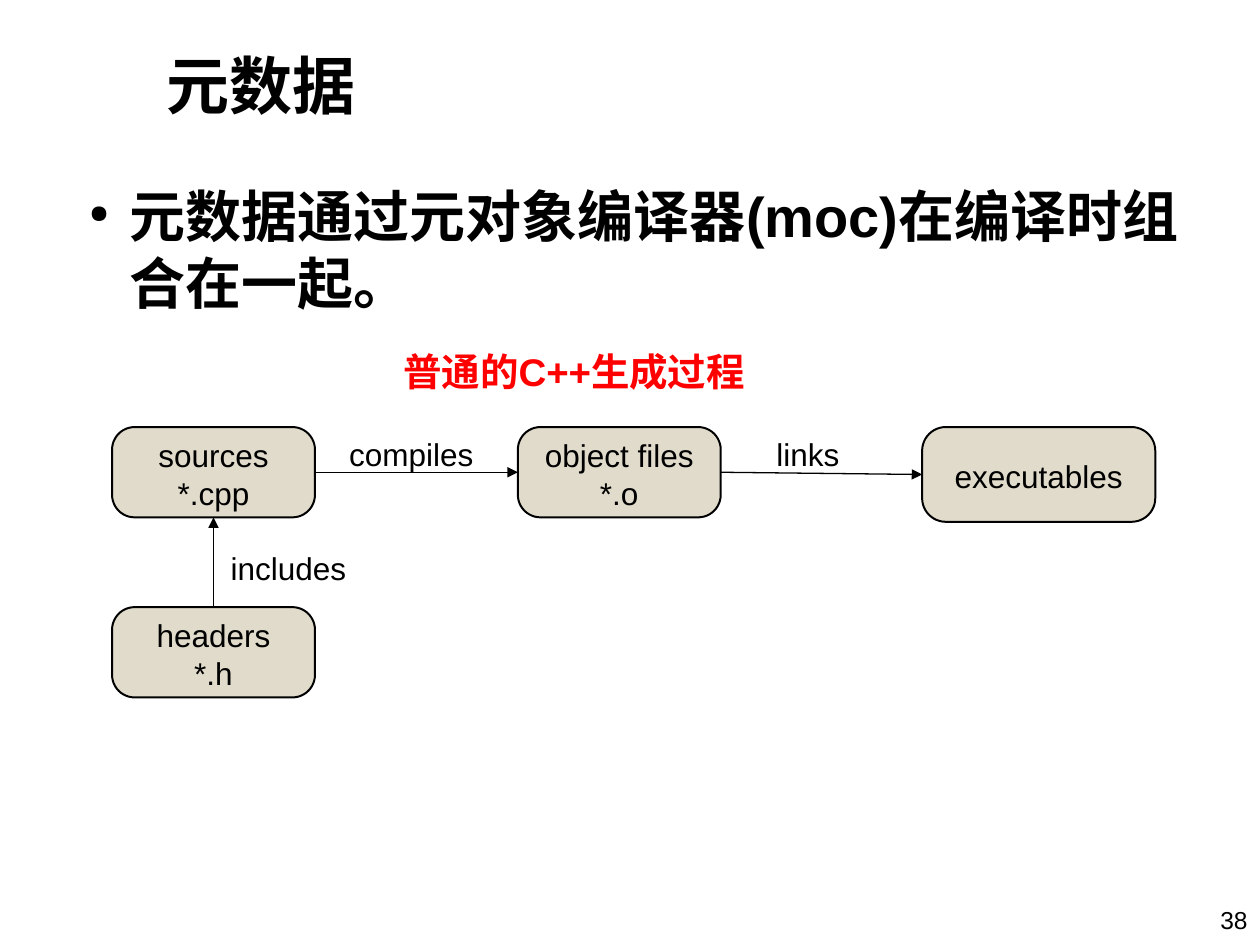
from dataclasses import dataclass

from lxml import etree
from pptx import Presentation
from pptx.dml.color import RGBColor
from pptx.enum import shapes, text
from pptx.oxml import ns
from pptx.util import Cm, Pt

FONT = "Arial"
BLACK, RED, BEIGE = "000000", "FF0000", "E0DBCA"
TOP, BOTTOM, LEFT, RIGHT = 0, 2, 1, 3
ROW_TOP, BOX_W, BOX_H = 8.61, 4.09, 1.82


@dataclass
class Label:
    text: str
    x: float
    y: float
    w: float
    h: float
    size: int = 18
    bold: bool = False
    color: str = BLACK
    inset_x: float = 0.23
    inset_top: float = 0.15
    anchor: text.MSO_ANCHOR = text.MSO_ANCHOR.TOP
    align: text.PP_ALIGN = text.PP_ALIGN.LEFT


@dataclass
class Box:
    lines: tuple[str, ...]
    x: float
    y: float = ROW_TOP
    w: float = BOX_W
    h: float = BOX_H


@dataclass
class Arrow:
    start: str
    start_side: int
    end: str
    end_side: int


TITLE = Label("元数据", 3.1, 0.13, 16.51, 3.18, 36, True, inset_x=0.25,
              inset_top=0.1, anchor=text.MSO_ANCHOR.MIDDLE)
BODY = Label("元数据通过元对象编译器(moc)在编译时组合在一起。",
             1.27, 3.53, 22.86, 12.34, 32, True, inset_x=0.25, inset_top=0.13)
LABELS = [
    Label("普通的C++生成过程", 7.9, 6.83, 10.64, 1.09, 22, True, RED, inset_top=0.18),
    Label("includes", 4.42, 10.92, 3, 0.86),
    Label("compiles", 6.81, ROW_TOP, 3.18, 0.86),
    Label("links", 15.42, ROW_TOP, 2.72, 0.86),
    Label("38", 21.31, 18.11, 4.09, 0.94, 14, inset_x=0.25, inset_top=0.13,
          align=text.PP_ALIGN.RIGHT),
]
BOXES = {
    "sources": Box(("sources", "*.cpp"), 2.26),
    "objects": Box(("object files", "*.o"), 10.44),
    "executables": Box(("executables",), 18.59, w=4.7, h=1.91),
    "headers": Box(("headers", "*.h"), 2.26, y=12.24),
}
ARROWS = [
    Arrow("sources", RIGHT, "objects", LEFT),
    Arrow("headers", TOP, "sources", BOTTOM),
    Arrow("objects", RIGHT, "executables", LEFT),
]


def rgb(value: str) -> RGBColor:
    return RGBColor.from_string(value)


def add_run(p, value: str, size: int, color: str = BLACK, bold: bool = False) -> None:
    r = p.add_run()
    r.text = value
    r.font.name = FONT
    r.font.size = Pt(size)
    r.font.bold = bold
    r.font.color.rgb = rgb(color)


def set_frame(tf, inset_x: float, inset_top: float, anchor) -> None:
    tf.word_wrap = True
    tf.vertical_anchor = anchor
    tf.margin_left = tf.margin_right = Cm(inset_x)
    tf.margin_top, tf.margin_bottom = Cm(inset_top), Cm(0.12)


def add_label(s, label: Label):
    sp = s.shapes.add_textbox(Cm(label.x), Cm(label.y), Cm(label.w), Cm(label.h))
    tf = sp.text_frame
    set_frame(tf, label.inset_x, label.inset_top, label.anchor)
    p = tf.paragraphs[0]
    p.alignment = label.align
    add_run(p, label.text, label.size, label.color, label.bold)
    return sp


def add_bullet(p) -> None:
    pPr = p._p.get_or_add_pPr()
    pPr.set("marL", str(Cm(1.09)))
    pPr.set("indent", str(-Cm(0.81)))
    etree.SubElement(pPr, ns.qn("a:buSzPct")).set("val", "45000")
    etree.SubElement(pPr, ns.qn("a:buChar")).set("char", "●")


def add_box(s, box: Box):
    sp = s.shapes.add_shape(shapes.MSO_SHAPE.ROUNDED_RECTANGLE,
                            Cm(box.x), Cm(box.y), Cm(box.w), Cm(box.h))
    sp.adjustments[0] = 0.25
    sp.shadow.inherit = False
    sp.fill.solid()
    sp.fill.fore_color.rgb = rgb(BEIGE)
    sp.line.color.rgb = rgb(BLACK)
    sp.line.width = Pt(1.13)
    tf = sp.text_frame
    set_frame(tf, 0.25, 0.18, text.MSO_ANCHOR.MIDDLE)
    for i, line in enumerate(box.lines):
        p = tf.add_paragraph() if i else tf.paragraphs[0]
        p.alignment = text.PP_ALIGN.CENTER
        add_run(p, line, 18)
    return sp


def add_arrow(s, arrow: Arrow, boxes: dict) -> None:
    c = s.shapes.add_connector(shapes.MSO_CONNECTOR.STRAIGHT, 0, 0, 0, 0)
    c.begin_connect(boxes[arrow.start], arrow.start_side)
    c.end_connect(boxes[arrow.end], arrow.end_side)
    c.line.color.rgb = rgb(BLACK)
    c.line.width = Pt(0.75)
    etree.SubElement(c.line._get_or_add_ln(), ns.qn("a:tailEnd")).set("type", "triangle")
    etree.SubElement(c._element.spPr, ns.qn("a:effectLst"))


def main() -> None:
    prs = Presentation()
    prs.slide_width, prs.slide_height = Cm(25.4), Cm(19.05)
    s = prs.slides.add_slide(prs.slide_layouts[6])
    add_label(s, TITLE)
    add_bullet(add_label(s, BODY).text_frame.paragraphs[0])
    boxes = {name: add_box(s, box) for name, box in BOXES.items()}
    for arrow in ARROWS:
        add_arrow(s, arrow, boxes)
    for label in LABELS:
        add_label(s, label)
    prs.save("out.pptx")


if __name__ == "__main__":
    main()
